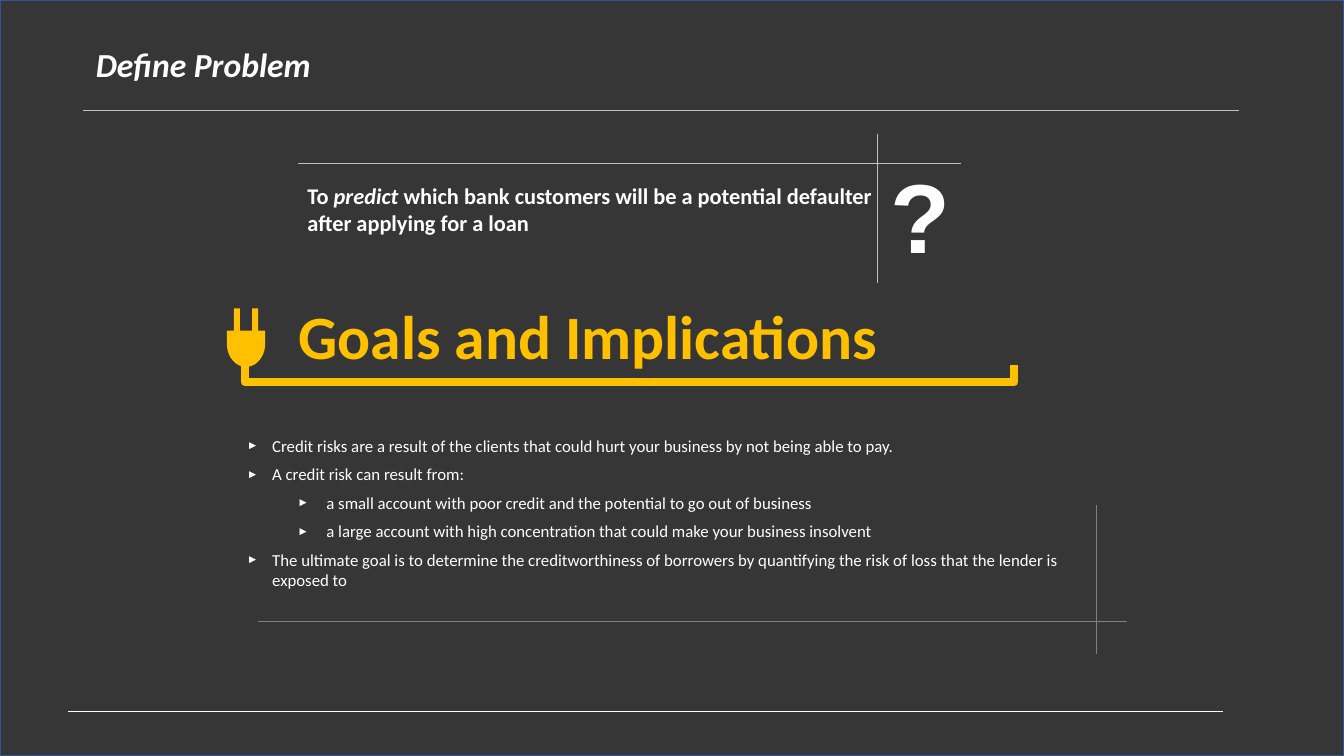
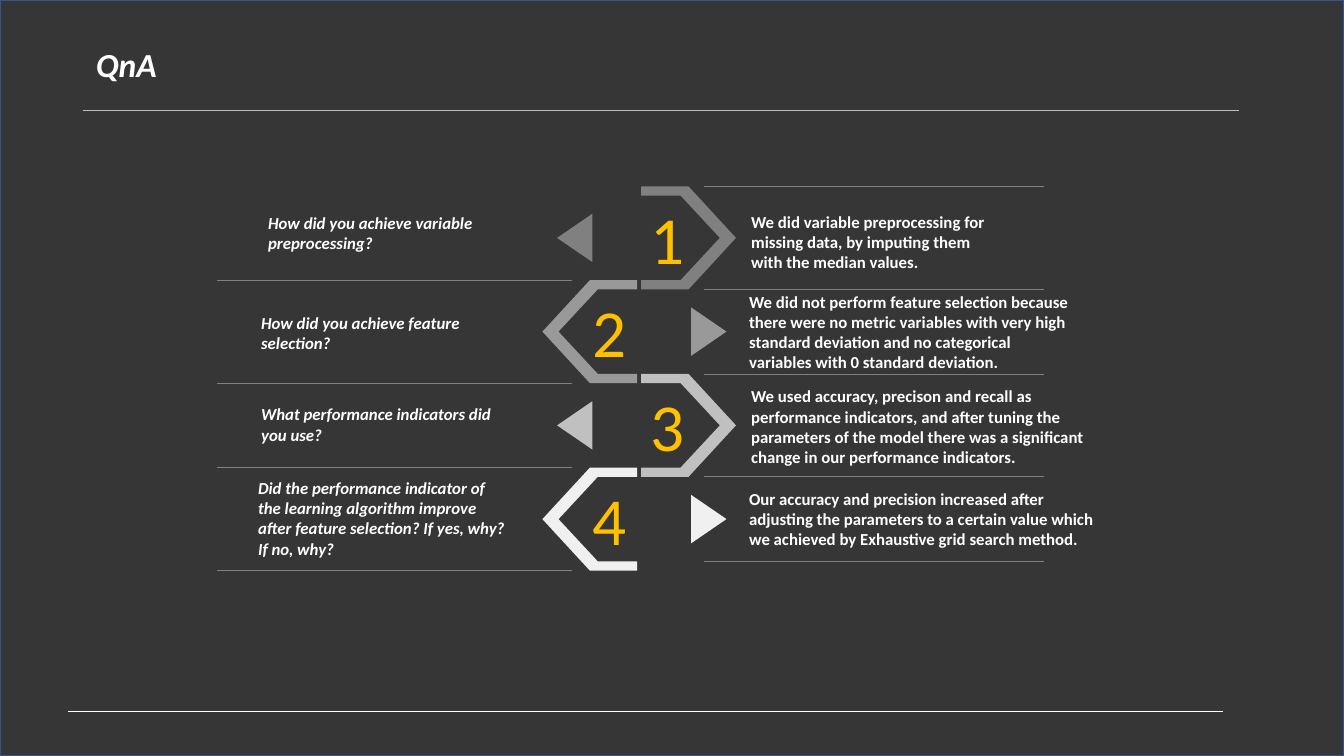
from math import cos, pi, sin

from lxml import etree
from pptx import Presentation
from pptx.dml.color import RGBColor
from pptx.enum.shapes import MSO_CONNECTOR, MSO_SHAPE
from pptx.enum.text import MSO_ANCHOR, MSO_AUTO_SIZE, PP_ALIGN
from pptx.oxml.ns import qn
from pptx.util import Inches, Pt

STRAIGHT = MSO_CONNECTOR.STRAIGHT
RECTANGLE = MSO_SHAPE.RECTANGLE
TRIANGLE = MSO_SHAPE.ISOSCELES_TRIANGLE
BRACKET = MSO_SHAPE.RIGHT_BRACKET
TOP, MIDDLE = MSO_ANCHOR.TOP, MSO_ANCHOR.MIDDLE
FIT_SHAPE, NO_FIT = MSO_AUTO_SIZE.SHAPE_TO_FIT_TEXT, MSO_AUTO_SIZE.NONE
LEFT, CENTER = PP_ALIGN.LEFT, PP_ALIGN.CENTER

CHARCOAL = RGBColor(0x36, 0x36, 0x36)
FRAME_BLUE = RGBColor(0x32, 0x54, 0x91)
WHITE = RGBColor(0xFF, 0xFF, 0xFF)
AMBER = RGBColor(0xFF, 0xC0, 0x00)
GRAY = RGBColor(0x80, 0x80, 0x80)
MID_GRAY = RGBColor(0x99, 0x99, 0x99)
SILVER = RGBColor(0xC0, 0xC0, 0xC0)
PALE = RGBColor(0xF0, 0xF0, 0xF0)

SLIDE_WIDTH, SLIDE_HEIGHT = 13.33, 7.5
BOLD = {"bold": True}
BOLD_ITALIC = {"bold": True, "italic": True}
TITLE_FONT = {"size": Pt(24), **BOLD_ITALIC}
NO_INSETS = dict.fromkeys(
    ("margin_left", "margin_top", "margin_right", "margin_bottom"), 0)
DISPLAY = {"line_spacing": 0.85, "space_after": Pt(6)}
BODY = {"space_after": Pt(6)}

GOALS = [
    (0, "Credit risks are a result of the clients that could hurt your business "
        "by not being able to pay."),
    (0, "A credit risk can result from:"),
    (1, " a small account with poor credit and the potential to go out of business"),
    (1, " a large account with high concentration that could make your business "
        "insolvent"),
    (0, "The ultimate goal is to determine the creditworthiness of borrowers by "
        "quantifying the risk of loss that the lender is exposed to"),
]

QUESTIONS = [
    (GRAY,
     (2.66, 2.11, 2.86, 0.4), "How did you achieve variable preprocessing?",
     (7.45, 2.1, 2.47, 0.61),
     "We did variable preprocessing for missing data, by imputing them with the "
     "median values."),
    (MID_GRAY,
     (2.59, 3.1, 2.47, 0.4), "How did you achieve feature selection?",
     (7.43, 2.89, 3.25, 0.81),
     "We did not perform feature selection because there were no metric variables "
     "with very high standard deviation and no categorical variables with 0 "
     "standard deviation."),
    (SILVER,
     (2.59, 4.01, 2.47, 0.4), "What performance indicators did you use?",
     (7.45, 3.83, 3.37, 0.81),
     "We used accuracy, precison and recall as performance indicators, and after "
     "tuning the parameters of the model there was a significant change in our "
     "performance indicators."),
    (PALE,
     (2.56, 4.74, 2.47, 0.81),
     "Did the performance indicator of the learning algorithm improve after feature "
     "selection? If yes, why? If no, why?",
     (7.43, 4.85, 3.51, 0.61),
     "Our accuracy and precision increased after adjusting the parameters to a "
     "certain value which we achieved by Exhaustive grid search method."),
]


def apply_format(target, values):
    for name, value in values.items():
        setattr(target, name, value)


class Deck:
    def __init__(self):
        self.deck = Presentation()
        self.deck.slide_width = Inches(SLIDE_WIDTH)
        self.deck.slide_height = Inches(SLIDE_HEIGHT)
        backdrop = self.deck.slide_master.background.fill
        backdrop.solid()
        backdrop.fore_color.rgb = CHARCOAL
        self.slide = None

    def add_page(self, heading):
        self.slide = self.deck.slides.add_slide(self.deck.slide_layouts[5])
        title = self.slide.shapes.title
        position = {"left": 0.85, "top": 0.43, "width": 11.65, "height": 0.75}
        apply_format(title, {k: Inches(v) for k, v in position.items()})
        apply_format(title.text_frame, {"vertical_anchor": TOP, "auto_size": NO_FIT})
        para = title.text_frame.paragraphs[0]
        apply_format(para, {"alignment": LEFT, "line_spacing": 0.9})
        self.span(para, heading, WHITE, TITLE_FONT)
        self.shape(RECTANGLE, (0, 0, SLIDE_WIDTH, SLIDE_HEIGHT),
                   line=FRAME_BLUE, weight=1)
        self.rule((0.67, 7.06), (12.13, 7.06), WHITE, 0.25)
        self.rule((0.82, 1.1), (12.29, 1.1), SILVER)

    def rule(self, start, end, color, weight=0.75):
        connector = self.slide.shapes.add_connector(
            STRAIGHT, *map(Inches, (*start, *end)))
        connector.line.color.rgb = color
        connector.line.width = Pt(weight)
        etree.SubElement(connector._element.spPr, qn("a:effectLst"))

    def paint(self, shape, fill=None, line=None, weight=1):
        shape.shadow.inherit = False
        if fill is None:
            shape.fill.background()
        else:
            shape.fill.solid()
            shape.fill.fore_color.rgb = fill
        if line is None:
            shape.line.fill.background()
        else:
            shape.line.color.rgb = line
            shape.line.width = Pt(weight)

    def shape(self, kind, area, rotation=0, **colors):
        shape = self.slide.shapes.add_shape(kind, *map(Inches, area))
        shape.rotation = rotation
        self.paint(shape, **colors)
        return shape

    def outline(self, points, fill):
        start, *rest = [(Inches(x), Inches(y)) for x, y in points]
        builder = self.slide.shapes.build_freeform(*start)
        builder.add_line_segments(rest, close=True)
        self.paint(builder.convert_to_shape(), fill=fill)

    def box(self, area, wrap=True, anchor=TOP):
        frame = self.slide.shapes.add_textbox(*map(Inches, area)).text_frame
        apply_format(frame, {**NO_INSETS, "word_wrap": wrap, "auto_size": FIT_SHAPE,
                             "vertical_anchor": anchor})
        return frame

    def span(self, para, text, color, font):
        run = para.add_run()
        run.text = text
        apply_format(run.font, {"name": "Calibri", "size": Pt(12), **font})
        run.font.color.rgb = color

    def text(self, area, spans, color=WHITE, layout=None, **options):
        para = self.box(area, **options).paragraphs[0]
        apply_format(para, layout or {})
        for text, font in spans:
            self.span(para, text, color, font)

    def bullets(self, area, items):
        frame = self.box(area)
        for index, (level, text) in enumerate(items):
            para = frame.add_paragraph() if index else frame.paragraphs[0]
            apply_format(para, {"level": level, **BODY})
            properties = para._p.get_or_add_pPr()
            properties.set("marL", str(Inches(0.25 + 0.5 * level)))
            properties.set("indent", str(-Inches(0.25)))
            for tag, name, value in (("a:buSzPct", "val", "70000"),
                                     ("a:buFont", "typeface", "Arial"),
                                     ("a:buChar", "char", "►")):
                etree.SubElement(properties, qn(tag)).set(name, value)
            self.span(para, text, WHITE, {})

    def plug(self, center, top):
        steps = 24
        half = [(-0.06, 0.22), (-0.06, 0), (-0.12, 0), (-0.12, 0.22), (-0.19, 0.22)]
        cup = [(-0.19 * cos(pi * i / steps), 0.35 + 0.23 * sin(pi * i / steps))
               for i in range(steps + 1)]
        mirrored = [(-x, y) for x, y in reversed(half)]
        self.outline([(center + x, top + y) for x, y in half + cup + mirrored], AMBER)

    def chevron(self, base, top, direction, color):
        profile = [(0.94, 0.51), (0.47, 0), (0, 0), (0, 0.09), (0.39, 0.09),
                   (0.78, 0.51), (0.39, 0.93), (0, 0.93), (0, 1.02), (0.47, 1.02)]
        self.outline([(base + direction * x, top + y) for x, y in profile], color)


def build_problem(deck):
    deck.add_page("Define Problem")
    bracket = deck.shape(BRACKET, (6.16, -0.11, 0.17, 7.63), 90, line=AMBER, weight=6)
    bracket.adjustments[0] = 0
    deck.plug(2.44, 3.06)
    deck.text((2.96, 3.07, 5.8, 0.64),
              [("Goals and Implications", {"size": Pt(44), **BOLD})],
              AMBER, DISPLAY, wrap=False)
    deck.text((8.83, 1.72, 0.6, 1),
              [("?", {"name": "Arial", "size": Pt(70), **BOLD})],
              layout=DISPLAY, wrap=False)
    statement = [("To ", BOLD), ("predict", BOLD_ITALIC),
                 (" which bank customers will be a potential defaulter after "
                  "applying for a loan", BOLD)]
    deck.text((3.05, 1.81, 5.66, 0.54),
              [(text, {"size": Pt(16), **font}) for text, font in statement],
              layout=BODY)
    for start, end, color in (((8.7, 1.33), (8.7, 2.81), SILVER),
                              ((2.96, 1.62), (9.53, 1.62), SILVER),
                              ((10.88, 5.01), (10.88, 6.49), GRAY),
                              ((2.56, 6.17), (11.18, 6.17), GRAY)):
        deck.rule(start, end, color)
    deck.bullets((2.45, 4.32, 8.2, 1.55), GOALS)


def build_questions(deck):
    deck.add_page("QnA")
    left_rule, right_rule = (2.15, 5.67), (6.98, 10.35)
    rules = [(right_rule, 5.57)]
    for index, (color, ask_area, ask, reply_area, reply) in enumerate(QUESTIONS):
        top = 1.85 + 0.93 * index
        if index % 2 == 0:
            base, direction, number_x = 6.36, 1, 6.45
            arrow_x, rotation, side = 5.7, 270, right_rule
        else:
            base, direction, number_x = 6.32, -1, 5.88
            arrow_x, rotation, side = 7.03, 90, left_rule
        deck.chevron(base, top, direction, color)
        deck.shape(TRIANGLE, (arrow_x - 0.24, top + 0.335, 0.48, 0.35),
                   rotation, fill=color)
        deck.text((number_x, top + 0.1, 0.34, 0.81),
                  [(str(index + 1), {"size": Pt(48)})], AMBER,
                  {"alignment": CENTER}, wrap=False, anchor=MIDDLE)
        deck.text(ask_area, [(ask, BOLD_ITALIC)])
        deck.text(reply_area, [(reply, BOLD)])
        rules += [(side, top), (side, top + 1.02)]
    for (start, end), y in rules:
        deck.rule((start, y), (end, y), GRAY, 0.5)


def main():
    deck = Deck()
    build_problem(deck)
    build_questions(deck)
    deck.deck.save("out.pptx")


if __name__ == "__main__":
    main()
